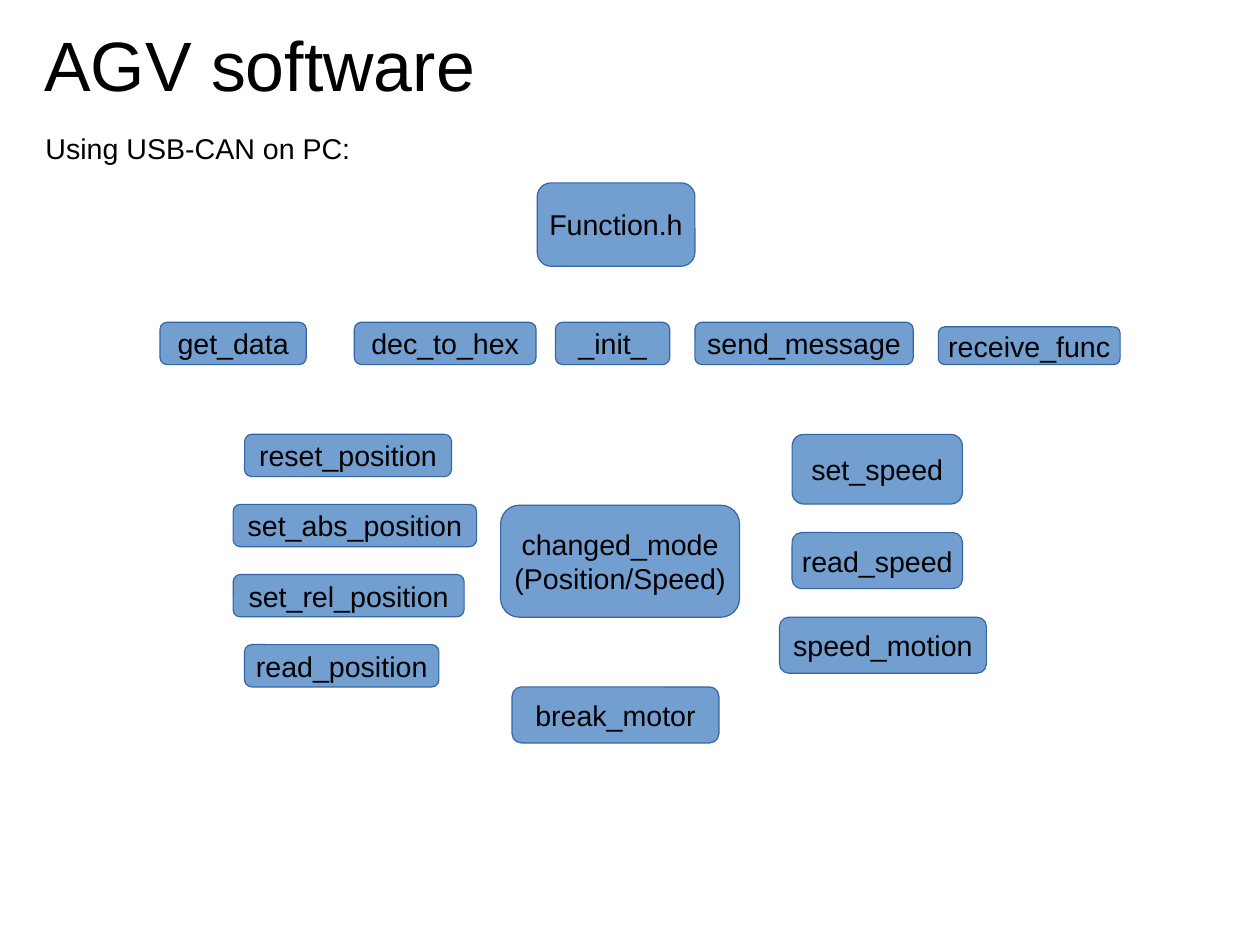
from dataclasses import dataclass

import pptx
import pptx.dml.color
import pptx.enum.shapes
import pptx.enum.text
import pptx.util

Inches = pptx.util.Inches
Align = pptx.enum.text.PP_ALIGN
Anchor = pptx.enum.text.MSO_ANCHOR

CM_PER_INCH = 2.54


@dataclass(frozen=True)
class Theme:
    font: str = "Arial"
    title_size: int = 44
    body_size: int = 18
    ink: str = "000000"
    node_fill: str = "729FCF"
    node_line: str = "3465A4"


@dataclass(frozen=True)
class Box:
    left: float
    top: float
    width: float
    height: float

    def lengths(self):
        return [Inches(v) for v in (self.left, self.top, self.width, self.height)]


THEME = Theme()


def rgb(value):
    return pptx.dml.color.RGBColor.from_string(value)


def write(shape, text, size=THEME.body_size, align=Align.CENTER,
          anchor=Anchor.MIDDLE, inset=(0.1, 0.05), wrap=False):
    frame = shape.text_frame
    frame.word_wrap = wrap
    frame.vertical_anchor = anchor
    frame.margin_left = frame.margin_right = Inches(inset[0])
    frame.margin_top = frame.margin_bottom = Inches(inset[1])
    frame.text = text
    for paragraph in frame.paragraphs:
        paragraph.alignment = align
        paragraph.font.name = THEME.font
        paragraph.font.size = pptx.util.Pt(size)
        paragraph.font.color.rgb = rgb(THEME.ink)


def add_node(slide, box, label):
    node = slide.shapes.add_shape(
        pptx.enum.shapes.MSO_SHAPE.ROUNDED_RECTANGLE, *box.lengths())
    node.shadow.inherit = False
    node.fill.solid()
    node.fill.fore_color.rgb = rgb(THEME.node_fill)
    node.line.color.rgb = rgb(THEME.node_line)
    node.line.width = pptx.util.Pt(0)
    write(node, label)


def add_heading(slide, box):
    title = slide.shapes.add_textbox(
        *Box(box.left, box.top, box.width, 0.68).lengths())
    write(title, "AGV software", size=THEME.title_size, inset=(0, 0))
    subtitle = slide.shapes.add_textbox(
        *Box(box.left, box.top + 0.88, 3, box.height - 0.88).lengths())
    write(subtitle, "Using USB-CAN on PC:", align=Align.LEFT, anchor=Anchor.TOP)


def add_row(slide, box, functions):
    """Functions as (label, offset, width, height), standing on the box's bottom."""
    for label, offset, width, height in functions:
        top = box.top + box.height - height
        add_node(slide, Box(box.left + offset, top, width, height), label)


def add_column(slide, box, functions):
    """Functions as (label, offset, width, height), evenly spaced down the box."""
    used = sum(height for *_, height in functions)
    gap = (box.height - used) / (len(functions) - 1)
    top = box.top
    for label, offset, width, height in functions:
        add_node(slide, Box(box.left + offset, top, width, height), label)
        top += height + gap


def main():
    deck = pptx.Presentation()
    # A 28 by 21 cm page
    deck.slide_width = Inches(28 / CM_PER_INCH)
    deck.slide_height = Inches(21 / CM_PER_INCH)
    slide = deck.slides.add_slide(deck.slide_layouts[6])

    # Heading and header file
    add_heading(slide, Box(0.3, 0.22, 3.95, 1.54))
    add_node(slide, Box(4.7, 1.6, 1.38, 0.73), "Function.h")

    # Communication functions
    add_row(slide, Box(1.4, 2.82, 8.4, 0.37), [
        ("get_data", 0, 1.28, 0.37),
        ("dec_to_hex", 1.7, 1.59, 0.37),
        ("_init_", 3.46, 1, 0.37),
        ("send_message", 4.68, 1.91, 0.37),
        ("receive_func", 6.81, 1.59, 0.33),
    ])

    # Position functions
    add_column(slide, Box(2.04, 3.8, 2.13, 2.21), [
        ("reset_position", 0.1, 1.81, 0.37),
        ("set_abs_position", 0, 2.13, 0.37),
        ("set_rel_position", 0, 2.02, 0.37),
        ("read_position", 0.1, 1.7, 0.37),
    ])

    # Mode and brake functions
    add_column(slide, Box(4.38, 4.42, 2.09, 2.08), [
        ("changed_mode\n(Position/Speed)", 0, 2.09, 0.98),
        ("break_motor", 0.1, 1.81, 0.49),
    ])

    # Speed functions
    add_column(slide, Box(6.82, 3.8, 1.81, 2.09), [
        ("set_speed", 0.11, 1.49, 0.61),
        ("read_speed", 0.11, 1.49, 0.49),
        ("speed_motion", 0, 1.81, 0.49),
    ])

    deck.save("out.pptx")


if __name__ == "__main__":
    main()
